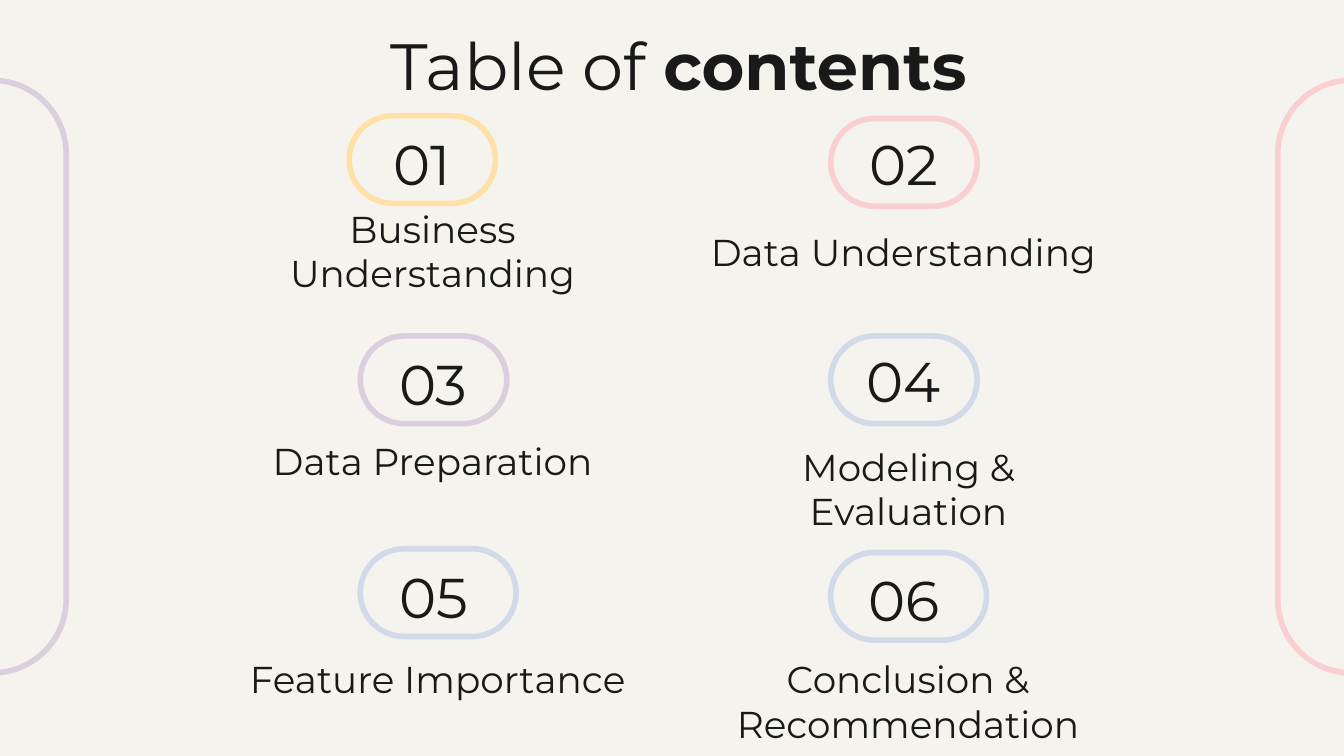
from dataclasses import dataclass

from pptx import Presentation
from pptx.dml.color import RGBColor
from pptx.enum.shapes import MSO_SHAPE as Shape
from pptx.enum.text import MSO_ANCHOR as Anchor, MSO_AUTO_SIZE as AutoSize, PP_ALIGN as Align
from pptx.util import Pt


@dataclass(frozen=True)
class Theme:
    font: str = "Montserrat"
    paper: str = "F5F3ED"
    ink: str = "191919"
    yellow: str = "FFE0A7"
    pink: str = "F9CFD0"
    lilac: str = "D9CFDE"
    blue: str = "D2DAE9"
    title_size: float = 35
    number_size: float = 30
    label_size: float = 20
    outline: float = 3
    inset: float = 7.2


@dataclass(frozen=True)
class Box:
    left: float
    top: float
    width: float
    height: float

    def lengths(self):
        return [Pt(value) for value in (self.left, self.top, self.width, self.height)]


@dataclass(frozen=True)
class Entry:
    label: str
    color: str
    pill: Box
    label_box: Box
    number_shift: float = 0


THEME = Theme()
PAGE_WIDTH, PAGE_HEIGHT = 720, 405
LEFT_COLUMN, RIGHT_COLUMN = 193, 445
PILL_HEIGHT = 47
ONE_LINE, TWO_LINES = 39, 63.5
NUMBER_INDENT, NUMBER_WIDTH = 11.5, 55.5

ENTRIES = [
    Entry("Business Understanding", THEME.yellow,
          Box(187, 62, 78.5, PILL_HEIGHT), Box(137.5, 102, 188.5, TWO_LINES)),
    Entry("Data Understanding", THEME.pink,
          Box(RIGHT_COLUMN, 63.5, 78.5, PILL_HEIGHT), Box(363, 115, 242, ONE_LINE), -1.5),
    Entry("Data Preparation", THEME.lilac,
          Box(LEFT_COLUMN, 180, 78.5, PILL_HEIGHT), Box(132.5, 227, 198.5, ONE_LINE)),
    Entry("Modeling & Evaluation", THEME.blue,
          Box(RIGHT_COLUMN, 180, 78.5, PILL_HEIGHT), Box(392.5, 229.5, 188.5, TWO_LINES), -1.5),
    Entry("Feature Importance", THEME.blue,
          Box(LEFT_COLUMN, 294, 83.5, PILL_HEIGHT), Box(122.5, 343.5, 224, ONE_LINE)),
    Entry("Conclusion & Recommendation", THEME.blue,
          Box(RIGHT_COLUMN, 296, 83.5, PILL_HEIGHT), Box(368.5, 343.5, 236, TWO_LINES)),
]


def write_text(shape, text, *, size, bold_tail="", anchor=Anchor.TOP):
    """Fill a shape with one centred paragraph, optionally ending in bold."""
    frame = shape.text_frame
    frame.word_wrap = True
    frame.auto_size = AutoSize.NONE
    frame.vertical_anchor = anchor
    frame.margin_left = frame.margin_right = Pt(THEME.inset)
    frame.margin_top = frame.margin_bottom = Pt(THEME.inset)
    para = frame.paragraphs[0]
    para.alignment = Align.CENTER
    for content, bold in ((text, False), (bold_tail, True)):
        if content:
            span = para.add_run()
            span.text = content
            span.font.name = THEME.font
            span.font.size = Pt(size)
            span.font.bold = bold
            span.font.color.rgb = RGBColor.from_string(THEME.ink)


def add_outline(page, box, color):
    """Draw an unfilled box with fully rounded ends."""
    shape = page.shapes.add_shape(Shape.ROUNDED_RECTANGLE, *box.lengths())
    shape.adjustments[0] = 0.5
    shape.shadow.inherit = False
    shape.fill.background()
    shape.line.color.rgb = RGBColor.from_string(color)
    shape.line.width = Pt(THEME.outline)


def add_side_frames(page, box):
    """Straddle the left and right edges of the box with tall outlines."""
    width, height, overhang = 79, 317.5, 43.5
    top = box.top + 43
    right = box.left + box.width
    add_outline(page, Box(box.left - overhang, top, width, height), THEME.lilac)
    add_outline(page, Box(right + overhang - width, top, width, height), THEME.pink)


def add_title(page, box):
    title = page.shapes.title
    title.left, title.top, title.width, title.height = box.lengths()
    write_text(title, "Table of ", size=THEME.title_size, bold_tail="contents")


def add_entry(page, number, entry):
    pill = entry.pill
    add_outline(page, pill, entry.color)
    number_box = Box(pill.left + NUMBER_INDENT, pill.top + entry.number_shift,
                     NUMBER_WIDTH, pill.height)
    write_text(page.shapes.add_textbox(*number_box.lengths()), f"{number:02}",
               size=THEME.number_size)
    write_text(page.shapes.add_textbox(*entry.label_box.lengths()), entry.label,
               size=THEME.label_size, anchor=Anchor.BOTTOM)


def main():
    deck = Presentation()
    deck.slide_width, deck.slide_height = Pt(PAGE_WIDTH), Pt(PAGE_HEIGHT)
    page = deck.slides.add_slide(deck.slide_layouts.get_by_name("Title Only"))
    page.background.fill.solid()
    page.background.fill.fore_color.rgb = RGBColor.from_string(THEME.paper)

    add_side_frames(page, Box(0, 0, PAGE_WIDTH, PAGE_HEIGHT))
    add_title(page, Box(60, 6.5, 607, 45.5))
    for number, entry in enumerate(ENTRIES, start=1):
        add_entry(page, number, entry)
    deck.save("out.pptx")


if __name__ == "__main__":
    main()
